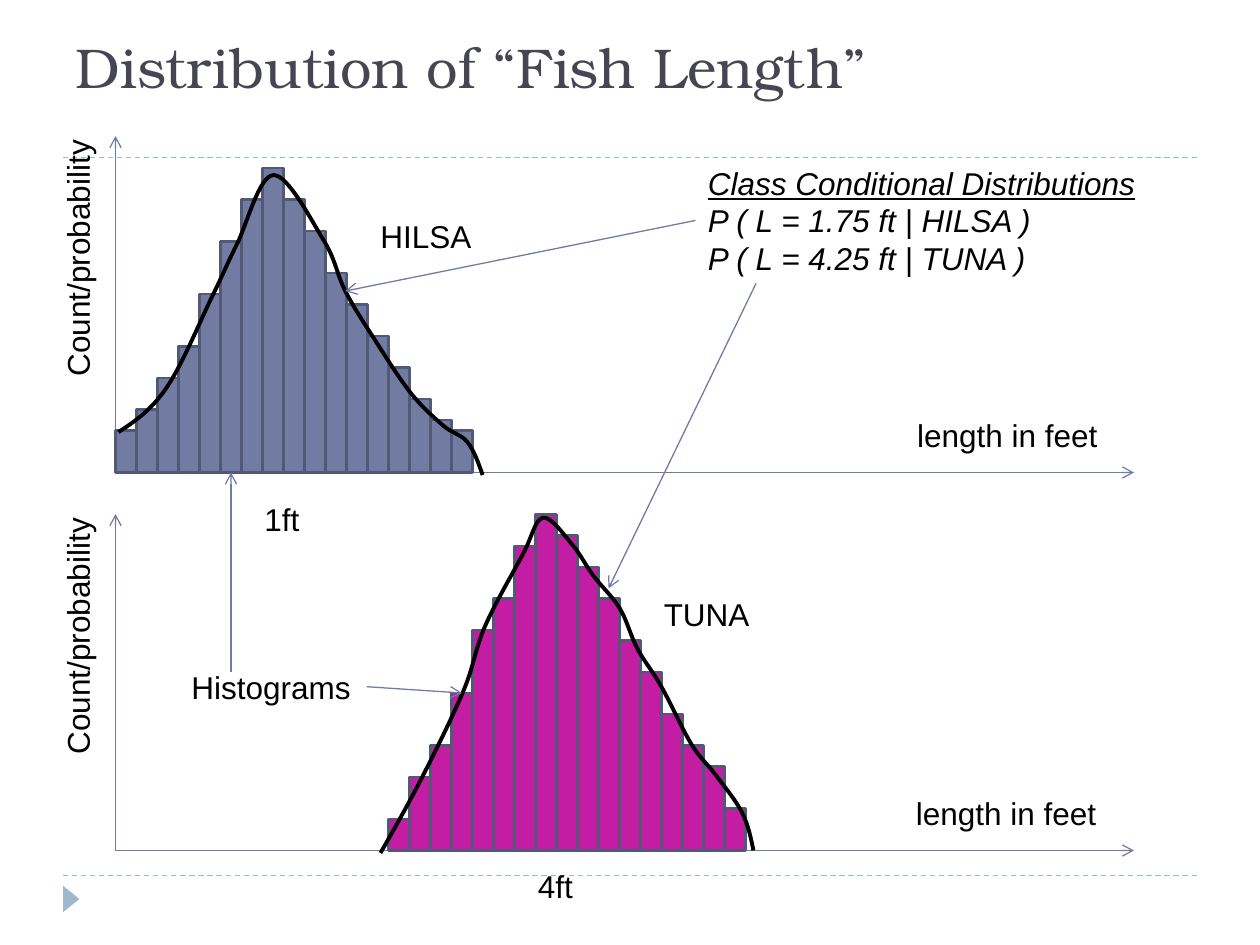
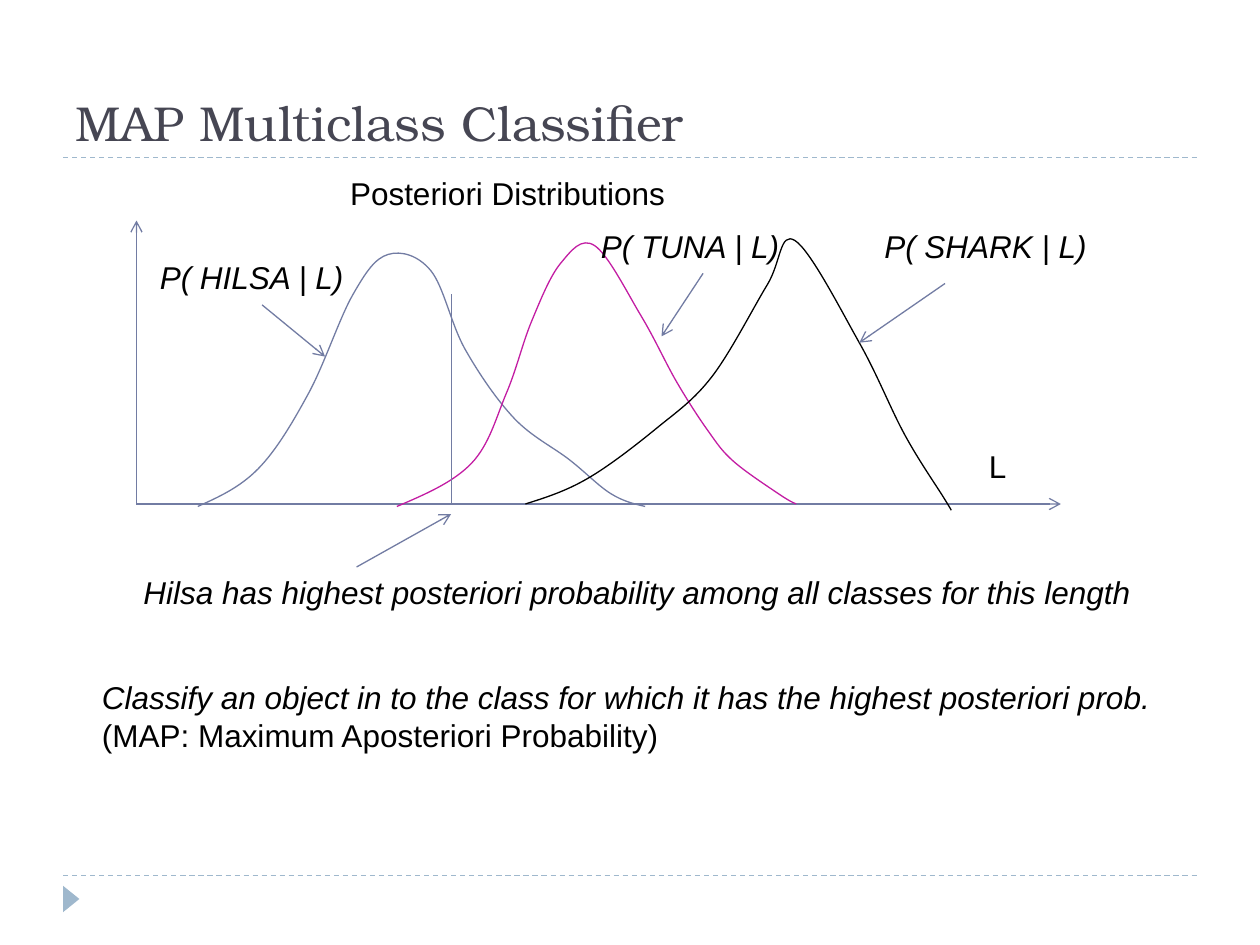
from dataclasses import dataclass

from lxml.etree import SubElement
from pptx import Presentation
from pptx.dml.color import RGBColor
from pptx.enum.dml import MSO_LINE
from pptx.enum.shapes import MSO_CONNECTOR as Connector, MSO_SHAPE as Preset
from pptx.enum.text import MSO_ANCHOR as Anchor, MSO_AUTO_SIZE as AutoSize, PP_ALIGN as Align
from pptx.oxml.ns import qn
from pptx.util import Inches, Pt


@dataclass(frozen=True)
class Theme:
    title: RGBColor = RGBColor.from_string("464653")
    text: RGBColor = RGBColor.from_string("000000")
    hilsa: RGBColor = RGBColor.from_string("727CA3")
    tuna: RGBColor = RGBColor.from_string("C31DA3")
    bar_edge: RGBColor = RGBColor.from_string("525977")
    band: RGBColor = RGBColor.from_string("9FB8CD")
    title_font: str = "TeX Gyre Bonum"
    text_font: str = "Arial"
    text_size: int = 18
    thin: float = 0.75
    edge: float = 1.5
    thick: float = 2.25


theme = Theme()


def add_line(slide, start, end, colour=theme.hilsa, arrow=True, dash=None):
    ends = [Inches(value) for value in (*start, *end)]
    line = slide.shapes.add_connector(Connector.STRAIGHT, *ends)
    line.line.color.rgb = colour
    line.line.width = Pt(theme.thin)
    if dash:
        line.line.dash_style = dash
    properties = line._element.spPr
    if arrow:
        SubElement(properties.find(qn("a:ln")), qn("a:tailEnd"), type="arrow")
    SubElement(properties, qn("a:effectLst"))
    return line


def add_curve(slide, points, colour, width):
    """Draw a smooth outline; each tangent follows the neighbouring points."""
    route = []
    last = len(points) - 2
    for i in range(last + 1):
        (x1, y1), (x2, y2) = points[i], points[i + 1]
        before, after = points[max(i - 1, 0)], points[min(i + 2, last + 1)]
        control_out = (x1 + (x2 - before[0]) / 6, y1 + (y2 - before[1]) / 6)
        control_in = (x2 - (after[0] - x1) / 6, y2 - (after[1] - y1) / 6)
        if i == 0:
            control_out = ((x1 + control_in[0]) / 2, (y1 + control_in[1]) / 2)
        if i == last:
            control_in = ((x2 + control_out[0]) / 2, (y2 + control_out[1]) / 2)
        route += [control_out, control_in, (x2, y2)]
    builder = slide.shapes.build_freeform(*[Inches(value) for value in points[0]])
    builder.add_line_segments([(Inches(x), Inches(y)) for x, y in route], close=False)
    curve = builder.convert_to_shape()
    curve.shadow.inherit = False
    curve.fill.background()
    curve.line.color.rgb = colour
    curve.line.width = Pt(width)
    # Every three segments become one Bezier piece
    path = next(curve._element.iter(qn("a:path")))
    segments = path.findall(qn("a:lnTo"))
    for i in range(0, len(segments), 3):
        piece = SubElement(path, qn("a:cubicBezTo"))
        for segment in segments[i:i + 3]:
            piece.append(segment[0])
            path.remove(segment)


presentation = Presentation()
presentation.slide_width = Inches(10)
presentation.slide_height = Inches(7.5)
layout = presentation.slide_layouts[5]

# Slides and titles
slides = []
for title_text, title_size, title_height in (
    ("Distribution of “Fish Length”", 32, 0.67),
    ("MAP Multiclass Classifier", 28, 1.08),
):
    slide = presentation.slides.add_slide(layout)
    slides.append(slide)
    title = slide.shapes.title
    title.left, title.top = Inches(0.5), Inches(0.17)
    title.width, title.height = Inches(9), Inches(title_height)
    frame = title.text_frame
    frame.text = title_text
    for name, value in {"vertical_anchor": Anchor.BOTTOM, "auto_size": AutoSize.NONE,
                        "word_wrap": True}.items():
        setattr(frame, name, value)
    paragraph = frame.paragraphs[0]
    paragraph.alignment = Align.LEFT
    for name, value in {"name": theme.title_font, "size": Pt(title_size)}.items():
        setattr(paragraph.font, name, value)
    paragraph.font.color.rgb = theme.title
fish_length, map_classifier = slides

# Shared rules and corner marker, moved to the layout
marker = fish_length.shapes.add_shape(
    Preset.ISOSCELES_TRIANGLE, Inches(0.46), Inches(7.07), Inches(0.21), Inches(0.13))
marker.rotation = 90
marker.shadow.inherit = False
marker.fill.solid()
marker.fill.fore_color.rgb = theme.band
marker.line.fill.background()
rules = [add_line(fish_length, (0.5, y), (9.5, y), theme.band, False, MSO_LINE.DASH)
         for y in (6.95, 1.25)]
for number, shape in enumerate([*rules, marker], 20):
    next(shape._element.iter(qn("p:cNvPr"))).set("id", str(number))
    layout.shapes._spTree.append(shape._element)

# Axes: slide, left, base, right, top
for slide, left, base, right, top in (
    (fish_length, 11 / 12, 3.75, 9, 1.08),
    (fish_length, 11 / 12, 6.75, 9, 4.08),
    (map_classifier, 13 / 12, 4, 8.42, 1.75),
):
    add_line(slide, (left, base), (right, base))
    add_line(slide, (left, base), (left, top))

# Histograms, with heights and left edges in twelfths of an inch
bars = {}
for fish, colour, first, base, heights in (
    ("hilsa", theme.hilsa, 11, 3.75,
     (4, 6, 9, 12, 17, 22, 26, 29, 26, 23, 19, 16, 13, 10, 7, 5, 4)),
    ("tuna", theme.tuna, 37, 6.75,
     (3, 7, 10, 15, 21, 24, 29, 32, 30, 27, 24, 20, 17, 13, 10, 8, 4)),
):
    bars[fish] = []
    for i, height in enumerate(heights):
        bar = fish_length.shapes.add_shape(
            Preset.RECTANGLE, Inches((first + 2 * i) / 12), Inches(base - height / 12),
            Inches(2 / 12), Inches(height / 12))
        bar.shadow.inherit = False
        bar.fill.solid()
        bar.fill.fore_color.rgb = colour
        bar.line.color.rgb = theme.bar_edge
        bar.line.width = Pt(theme.edge)
        bars[fish].append(bar)

# Density curves
for slide, colour, width, points in (
    (fish_length, theme.text, theme.thick,
     ((0.94, 3.43), (1.32, 3.08), (1.69, 2.34), (1.88, 1.94), (2.17, 1.39), (2.57, 1.91),
      (2.74, 2.31), (2.97, 2.69), (3.26, 3.12), (3.52, 3.38), (3.71, 3.51), (3.83, 3.77))),
    (fish_length, theme.text, theme.thick,
     ((3.02, 6.77), (3.35, 6.17), (3.68, 5.48), (3.85, 4.97), (4.15, 4.4), (4.31, 4.11),
      (4.54, 4.32), (4.71, 4.57), (4.92, 4.83), (5.06, 5.15), (5.25, 5.45), (5.49, 5.91),
      (5.68, 6.15), (5.89, 6.45), (5.98, 6.75))),
    (map_classifier, theme.hilsa, theme.thin,
     ((1.57, 4.02), (2.05, 3.72), (2.45, 3.12), (2.8, 2.34), (3.08, 2.02), (3.42, 2.15),
      (3.69, 2.77), (4.08, 3.32), (4.52, 3.65), (4.85, 3.92), (5.12, 4.02))),
    (map_classifier, theme.tuna, theme.thin,
     ((3.15, 4.02), (3.74, 3.68), (4.02, 3.12), (4.22, 2.55), (4.45, 2.09), (4.72, 1.95),
      (5.09, 2.51), (5.37, 3.03), (5.62, 3.42), (5.82, 3.66), (6.18, 3.92), (6.32, 4))),
    (map_classifier, theme.text, theme.thin,
     ((4.17, 4), (4.66, 3.8), (5.21, 3.4), (5.65, 2.99), (6.09, 2.26), (6.31, 1.91),
      (6.82, 2.72), (7.18, 3.45), (7.49, 3.95), (7.55, 4.05))),
):
    add_curve(slide, points, colour, width)

# Labels: slide, left, top, width, rotation, lines with their format
plain = {"italic": False}
italic = {"italic": True}
heading = {"italic": True, "underline": True}
labels = {}
for slide, left, top, width, rotation, lines in (
    (fish_length, 7.18, 3.25, 1.65, 0, [("length in feet", plain)]),
    (fish_length, 7.17, 6.25, 1.65, 0, [("length in feet", plain)]),
    (fish_length, -0.44, 1.83, 2.11, 270, [("Count/probability", plain)]),
    (fish_length, -0.44, 4.83, 2.11, 270, [("Count/probability", plain)]),
    (fish_length, 2, 3.92, 0.5, 0, [("1ft", plain)]),
    (fish_length, 4.17, 6.83, 0.5, 0, [("4ft", plain)]),
    (fish_length, 2.92, 1.67, 0.95, 0, [("HILSA", plain)]),
    (fish_length, 5.17, 4.67, 0.9, 0, [("TUNA", plain)]),
    (fish_length, 5.52, 1.25, 3.62, 0, [
        ("Class Conditional Distributions", heading),
        ("P ( L = 1.75 ft | HILSA )", italic),
        ("P ( L = 4.25 ft | TUNA )", italic)]),
    (fish_length, 1.42, 5.25, 1.49, 0, [("Histograms", plain)]),
    (map_classifier, 7.75, 3.5, 0.36, 0, [("L", plain)]),
    (map_classifier, 1.17, 2, 1.7, 0, [("P( HILSA | L)", italic)]),
    (map_classifier, 4.67, 1.75, 1.65, 0, [("P( TUNA | L)", italic)]),
    (map_classifier, 6.92, 1.75, 1.84, 0, [("P( SHARK | L)", italic)]),
    (map_classifier, 2.68, 1.33, 2.73, 0, [("Posteriori Distributions", plain)]),
    (map_classifier, 1.04, 4.5, 8.07, 0, [
        ("Hilsa has highest posteriori probability among all classes for this length",
         italic)]),
    (map_classifier, 0.71, 5.33, 8.55, 0, [
        ("Classify an object in to the class for which it has the highest posteriori prob.",
         italic),
        ("(MAP: Maximum Aposteriori Probability)", plain)]),
):
    box = slide.shapes.add_textbox(
        Inches(left), Inches(top), Inches(width), Inches(0.1 + 0.3 * len(lines)))
    box.rotation = rotation
    frame = box.text_frame
    frame.word_wrap = False
    frame.auto_size = AutoSize.SHAPE_TO_FIT_TEXT
    frame.text = "\n".join(text for text, _ in lines)
    for paragraph, (_, style) in zip(frame.paragraphs, lines):
        formats = {"name": theme.text_font, "size": Pt(theme.text_size), **style}
        for name, value in formats.items():
            setattr(paragraph.font, name, value)
        paragraph.font.color.rgb = theme.text
    labels[lines[0][0]] = box

# Pointers on the histogram slide
to_hilsa_curve = add_line(fish_length, (5.52, 1.75), (2.74, 2.31))
to_hilsa_curve.begin_connect(labels["Class Conditional Distributions"], 1)
add_line(fish_length, (6, 2.25), (4.83, 4.67))
to_hilsa_bar = add_line(fish_length, (11 / 6, 5.33), (11 / 6, 3.75))
to_hilsa_bar.end_connect(bars["hilsa"][5], 2)
to_tuna_bar = add_line(fish_length, (2.91, 5.45), (3.67, 5.5))
to_tuna_bar.begin_connect(labels["Histograms"], 3)
to_tuna_bar.end_connect(bars["tuna"][3], 0)

# Pointers and the chosen length on the classifier slide
for start, end in (
    ((2.08, 2.42), (2.58, 2.83)),
    ((5.58, 2.17), (5.25, 2.67)),
    ((7.5, 2.25), (6.82, 2.72)),
    ((2.83, 4.5), (3.58, 4.08)),
):
    add_line(map_classifier, start, end)
add_line(map_classifier, (43 / 12, 4), (43 / 12, 2.33), arrow=False)

presentation.save("out.pptx")
